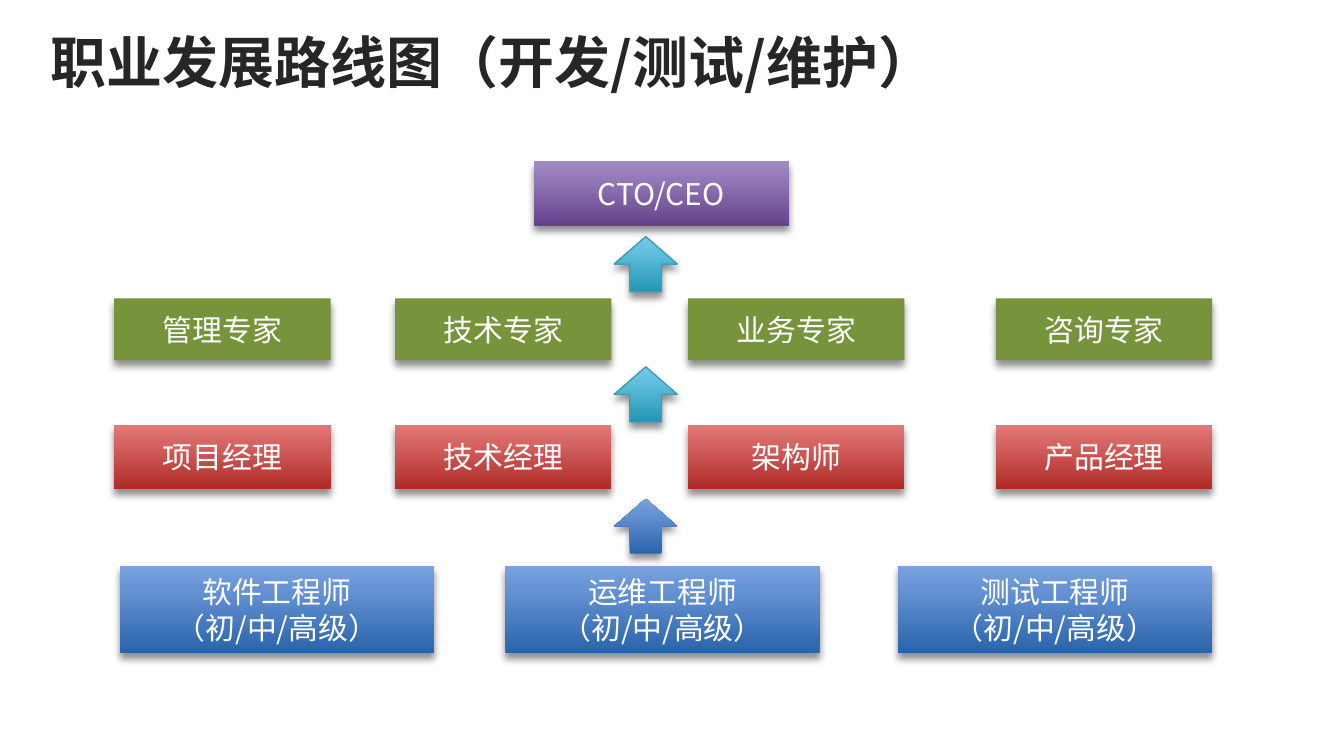
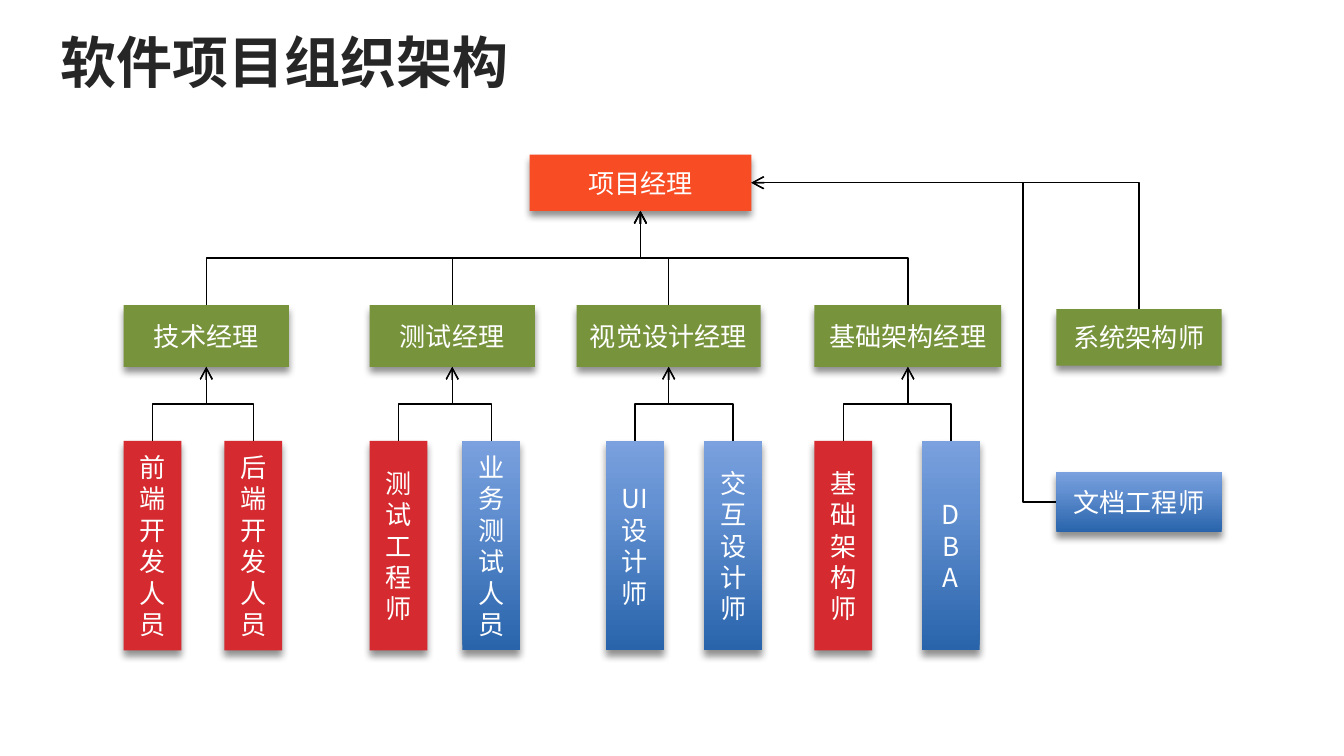
import pptx
import pptx.dml.color
import pptx.enum.shapes
import pptx.enum.text
import pptx.oxml.ns
import pptx.util
from lxml import etree

Inches = pptx.util.Inches
Pt = pptx.util.Pt
qn = pptx.oxml.ns.qn
SHAPES = pptx.enum.shapes.MSO_SHAPE

FONT = "Noto Sans CJK SC"
WHITE, BLACK, TITLE_COLOR = "FFFFFF", "000000", "262626"
GREEN, RED, ORANGE = "77933C", "D52A2F", "F84C24"
TEAL_LINE = "449CB4"
# Gradients run from the bottom edge to the top edge.
STOPS = (0, 72, 100)
BLUE_GRADIENT = ("2964AB", "6592D3", "7BA1DE")
RED_GRADIENT = ("AE2A26", "D66563", "E17B79")
PURPLE_GRADIENT = ("64438C", "9278B6", "A38CC4")
TEAL_GRADIENT = ("2396B5", "61BFDD", "77CAE7")
TOP, LEFT, BOTTOM, RIGHT = range(4)


def color(hex_string):
    return pptx.dml.color.RGBColor.from_string(hex_string)


def add_child(parent, tag, **attributes):
    child = etree.SubElement(parent, qn(tag))
    for name, value in attributes.items():
        child.set(name, str(value))
    return child


def set_fill(shape, fill):
    """Fill with one hex colour, or with a tuple of gradient colours."""
    if isinstance(fill, str):
        shape.fill.solid()
        shape.fill.fore_color.rgb = color(fill)
        return
    shape.fill.gradient()
    gradient = shape.element.spPr.find(qn("a:gradFill"))
    for child in list(gradient):
        gradient.remove(child)
    stop_list = add_child(gradient, "a:gsLst")
    for position, hex_string in zip(STOPS, fill):
        stop = add_child(stop_list, "a:gs", pos=position * 1000)
        add_child(stop, "a:srgbClr", val=hex_string)
    add_child(gradient, "a:lin", ang=270 * 60000, scaled=0)


def set_shadow(shape):
    shape.shadow.inherit = False
    effects = shape.element.spPr.find(qn("a:effectLst"))
    shadow = add_child(effects, "a:outerShdw", blurRad=Pt(4), dist=Pt(3),
                       dir=90 * 60000, algn="t", rotWithShape=0)
    shadow_color = add_child(shadow, "a:srgbClr", val=BLACK)
    add_child(shadow_color, "a:alpha", val=43000)


def write_text(shape, lines, size, hex_string, alignment, bold=False):
    frame = shape.text_frame
    frame.word_wrap = True
    frame.vertical_anchor = pptx.enum.text.MSO_ANCHOR.MIDDLE
    for index, line in enumerate(lines):
        paragraph = frame.add_paragraph() if index else frame.paragraphs[0]
        paragraph.alignment = alignment
        run = paragraph.add_run()
        run.text = line
        run.font.size = Pt(size)
        run.font.bold = bold
        run.font.color.rgb = color(hex_string)
        run.font.name = FONT
        add_child(run.font._element, "a:ea", typeface=FONT)


def add_title(slide, left, text):
    box = slide.shapes.add_textbox(Inches(left), Inches(0.13), Inches(8.83), Inches(0.65))
    write_text(box, [text], 30, TITLE_COLOR, pptx.enum.text.PP_ALIGN.LEFT, bold=True)


def add_filled_shape(slide, kind, left, top, width, height, fill, line=None):
    shape = slide.shapes.add_shape(kind, Inches(left), Inches(top), Inches(width), Inches(height))
    set_fill(shape, fill)
    if line:
        shape.line.color.rgb = color(line)
        shape.line.width = Pt(0.75)
    else:
        shape.line.fill.background()
    set_shadow(shape)
    return shape


def add_box(slide, left, top, width, height, fill, size, *lines):
    shape = add_filled_shape(slide, SHAPES.RECTANGLE, left, top, width, height, fill)
    write_text(shape, lines, size, WHITE, pptx.enum.text.PP_ALIGN.CENTER)
    return shape


def add_elbow(slide, start, start_side, end, end_side, bend=0.5):
    """Join two boxes with a bent arrow; a bend of None gives a single corner."""
    connector = slide.shapes.add_connector(pptx.enum.shapes.MSO_CONNECTOR.ELBOW, 0, 0, 0, 0)
    connector.begin_connect(start, start_side)
    connector.end_connect(end, end_side)
    begin_x, begin_y = connector.begin_x, connector.begin_y
    end_x, end_y = connector.end_x, connector.end_y
    width, height = abs(end_x - begin_x), abs(end_y - begin_y)
    upward = start_side == TOP
    if upward:
        width, height = height, width
    connector.left = (begin_x + end_x - width) // 2
    connector.top = (begin_y + end_y - height) // 2
    connector.width, connector.height = width, height

    properties = connector.element.spPr
    transform = properties.find(qn("a:xfrm"))
    transform.set("rot", str((270 if upward else 180) * 60000))
    transform.set("flipH", "0")
    transform.set("flipV", "1" if upward and end_x < begin_x else "0")
    geometry = properties.find(qn("a:prstGeom"))
    if bend is None:
        geometry.set("prst", "bentConnector2")
    else:
        add_child(geometry.find(qn("a:avLst")), "a:gd", name="adj1",
                  fmla=f"val {round(bend * 100000)}")
    connector.line.color.rgb = color(BLACK)
    connector.line.width = Pt(0.75)
    add_child(connector.line._get_or_add_ln(), "a:tailEnd", type="arrow")
    add_child(properties, "a:effectLst")


def build_career_slide(slide):
    add_title(slide, 0.28, "职业发展路线图（开发/测试/维护）")
    add_box(slide, 3.97, 1.2, 1.9, 0.48, PURPLE_GRADIENT, 16, "CTO/CEO")

    columns = (0.85, 2.94, 5.12, 7.41)
    levels = (
        (2.22, 0.46, GREEN, ("管理专家", "技术专家", "业务专家", "咨询专家")),
        (3.16, 0.48, RED_GRADIENT, ("项目经理", "技术经理", "架构师", "产品经理")),
    )
    for top, height, fill, roles in levels:
        for left, role in zip(columns, roles):
            add_box(slide, left, top, 1.61, height, fill, 16, role)

    engineers = ((0.89, "软件工程师"), (3.76, "运维工程师"), (6.68, "测试工程师"))
    for left, role in engineers:
        add_box(slide, left, 4.21, 2.34, 0.65, BLUE_GRADIENT, 16, role, "（初/中/高级）")

    arrows = ((3.71, BLUE_GRADIENT, None), (2.73, TEAL_GRADIENT, TEAL_LINE),
              (1.76, TEAL_GRADIENT, TEAL_LINE))
    for top, fill, line in arrows:
        add_filled_shape(slide, SHAPES.UP_ARROW, 4.57, top, 0.47, 0.41, fill, line)


def build_organization_slide(slide):
    add_title(slide, 0.35, "软件项目组织架构")
    project_manager = add_box(slide, 3.94, 1.15, 1.65, 0.42, ORANGE, 14, "项目经理")

    teams = (
        (0.92, 1.23, "技术经理", ((0.92, RED, "前端开发人员"), (1.67, RED, "后端开发人员"))),
        (2.75, 1.23, "测试经理", ((2.75, RED, "测试工程师"), (3.44, BLUE_GRADIENT, "业务测试人员"))),
        (4.29, 1.37, "视觉设计经理",
         ((4.51, BLUE_GRADIENT, "UI设计师"), (5.24, BLUE_GRADIENT, "交互设计师"))),
        (6.06, 1.39, "基础架构经理", ((6.06, RED, "基础架构师"), (6.86, BLUE_GRADIENT, "DBA"))),
    )
    for left, width, role, members in teams:
        manager = add_box(slide, left, 2.27, width, 0.46, GREEN, 14, role)
        add_elbow(slide, manager, TOP, project_manager, BOTTOM)
        for member_left, fill, member_role in members:
            member = add_box(slide, member_left, 3.28, 0.43, 1.56, fill, 14, member_role)
            add_elbow(slide, member, TOP, manager, BOTTOM)

    writer = add_box(slide, 7.86, 3.51, 1.23, 0.45, BLUE_GRADIENT, 14, "文档工程师")
    architect = add_box(slide, 7.86, 2.3, 1.23, 0.42, GREEN, 14, "系统架构师")
    add_elbow(slide, writer, LEFT, project_manager, RIGHT, bend=0.11)
    add_elbow(slide, architect, TOP, project_manager, RIGHT, bend=None)


def main():
    presentation = pptx.Presentation()
    presentation.slide_width = Inches(10)
    presentation.slide_height = presentation.slide_width * 9 // 16
    blank_layout = presentation.slide_layouts[6]
    for build in (build_career_slide, build_organization_slide):
        build(presentation.slides.add_slide(blank_layout))
    presentation.save("out.pptx")


if __name__ == "__main__":
    main()
